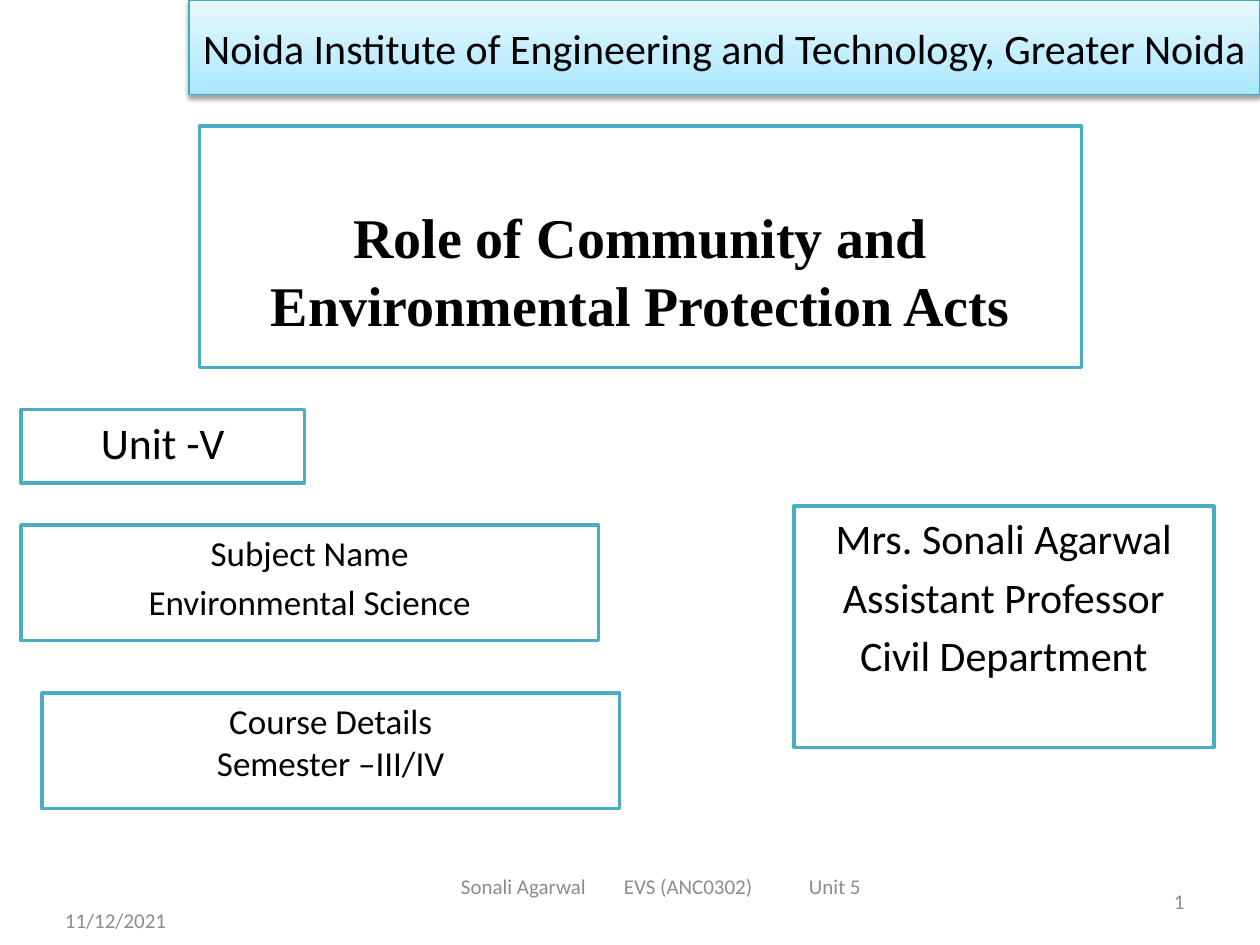
import pptx
import pptx.util
import pptx.oxml
import pptx.dml.color
import pptx.enum.text
import pptx.enum.shapes

Pt = pptx.util.Pt
ALIGN = pptx.enum.text.PP_ALIGN
ANCHOR = pptx.enum.text.MSO_ANCHOR
NAMESPACE = 'xmlns:a="http://schemas.openxmlformats.org/drawingml/2006/main"'

COLORS = {"text": "000000", "muted": "8C8C8C", "panel": "FFFFFF",
          "border": "4BACC6", "title border": "46AAC5", "shadow": "000000"}
TITLE = "Noida Institute of Engineering and Technology, Greater Noida"
TITLE_GRADIENT = [(0, "A7E6FF"), (35, "C1EDFF"), (100, "E7F8FF")]

# Bordered panels: left, top, width, height, top inset, size, font, bold, lines
PANELS = [
    (114, 72, 504, 138, 44, 32, "Times New Roman", True,
     ["Role of Community and Environmental Protection Acts"]),
    (12, 234, 162, 42, 3.6, 25, "Calibri", False, ["Unit -V"]),
    (453.6, 289.2, 240, 138, 3.6, 24, "Calibri", False,
     ["Mrs. Sonali Agarwal", "Assistant Professor", "Civil Department"]),
    (24, 396, 330, 66, 3.6, 20, "Calibri", False,
     ["Course Details\vSemester –III/IV"]),
    (12, 300, 330, 66, 3.6, 20, "Calibri", False,
     ["Subject Name", "Environmental Science"]),
]

# Footer: left, top, width, left inset, alignment, tab stops, text
FOOTER = [
    (30, 511.2, 168, 7.2, ALIGN.LEFT, [], "11/12/2021"),
    (516, 500.4, 168, 7.2, ALIGN.RIGHT, [], "1"),
    (180, 492, 396, 83.4, ALIGN.LEFT, [93.1, 198.9],
     "Sonali Agarwal\tEVS (ANC0302)\tUnit 5"),
]
FOOTER_HEIGHT = 28.8


def rgb(name):
    return pptx.dml.color.RGBColor.from_string(COLORS[name])


def set_font(para, size, color, name="Calibri", bold=False):
    para.font.size = Pt(size)
    para.font.name = name
    para.font.bold = bold
    para.font.color.rgb = rgb(color)


def set_line(shape, color, width):
    shape.line.color.rgb = rgb(color)
    shape.line.width = Pt(width)


def add_title(page):
    title = page.shapes.title
    title.left, title.top, title.width, title.height = Pt(108), Pt(0), Pt(612), Pt(54)
    set_line(title, "title border", 0.75)
    stops = "".join(f'<a:gs pos="{place * 1000}"><a:srgbClr val="{color}"/></a:gs>'
                    for place, color in TITLE_GRADIENT)
    gradient = (f'<a:gradFill {NAMESPACE} rotWithShape="1"><a:gsLst>{stops}</a:gsLst>'
                '<a:lin ang="16200000" scaled="0"/></a:gradFill>')
    shadow = (f'<a:effectLst {NAMESPACE}><a:outerShdw blurRad="{Pt(3.1)}" '
              f'dist="{Pt(1.6)}" dir="5400000" rotWithShape="0">'
              f'<a:srgbClr val="{COLORS["shadow"]}"><a:alpha val="38000"/></a:srgbClr>'
              '</a:outerShdw></a:effectLst>')
    outline = title.line._get_or_add_ln()
    outline.addprevious(pptx.oxml.parse_xml(gradient))
    outline.addnext(pptx.oxml.parse_xml(shadow))
    frame = title.text_frame
    frame.text = TITLE
    frame.word_wrap = True
    frame.margin_left = frame.margin_right = Pt(3.6)
    frame.vertical_anchor = ANCHOR.MIDDLE
    frame.paragraphs[0].alignment = ALIGN.CENTER
    set_font(frame.paragraphs[0], 24, "text")


def add_panel(page, left, top, width, height, inset, size, font, bold, lines):
    panel = page.shapes.add_shape(pptx.enum.shapes.MSO_SHAPE.RECTANGLE,
                                  Pt(left), Pt(top), Pt(width), Pt(height))
    panel.shadow.inherit = False
    panel.fill.solid()
    panel.fill.fore_color.rgb = rgb("panel")
    set_line(panel, "border", 2)
    frame = panel.text_frame
    frame.word_wrap = True
    frame.vertical_anchor = ANCHOR.TOP
    frame.margin_top = Pt(inset)
    for index, line in enumerate(lines):
        para = frame.add_paragraph() if index else frame.paragraphs[0]
        para.text = line
        para.alignment = ALIGN.CENTER
        para.space_before = Pt(size * 0.2 if index else 0)
        set_font(para, size, "text", font, bold)


def add_footer(page, left, top, width, inset, alignment, tabs, text):
    box = page.shapes.add_textbox(Pt(left), Pt(top), Pt(width), Pt(FOOTER_HEIGHT))
    frame = box.text_frame
    frame.word_wrap = True
    frame.vertical_anchor = ANCHOR.MIDDLE
    frame.margin_left = Pt(inset)
    para = frame.paragraphs[0]
    para.text = text
    para.alignment = alignment
    if tabs:
        stops = "".join(f'<a:tab pos="{Pt(stop)}" algn="l"/>' for stop in tabs)
        para._p.get_or_add_pPr().append(
            pptx.oxml.parse_xml(f'<a:tabLst {NAMESPACE}>{stops}</a:tabLst>'))
    set_font(para, 12, "muted")


def main():
    deck = pptx.Presentation()
    deck.slide_width, deck.slide_height = Pt(720), Pt(540)
    page = deck.slides.add_slide(deck.slide_layouts[5])
    add_title(page)
    for panel in PANELS:
        add_panel(page, *panel)
    for item in FOOTER:
        add_footer(page, *item)
    deck.save("out.pptx")


if __name__ == "__main__":
    main()
